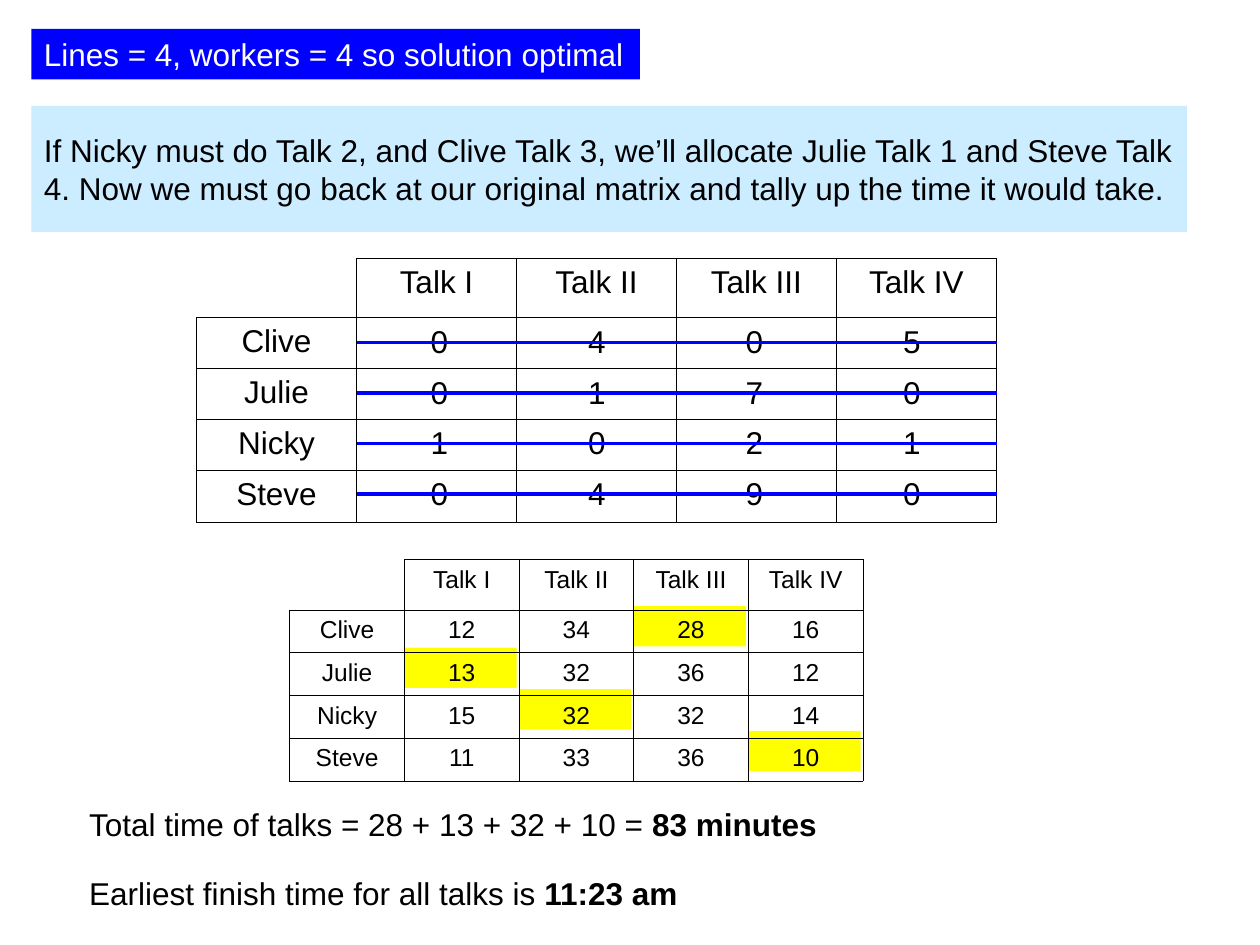
from lxml import etree
from pptx import Presentation
from pptx import util as u
from pptx.dml.color import RGBColor
from pptx.enum import shapes, text
from pptx.oxml import ns

# Content
HEADING = "Lines = 4, workers = 4 so solution optimal"
EXPLANATION = (
    "If Nicky must do Talk 2, and Clive Talk 3, we’ll allocate Julie Talk 1 and Steve Talk 4. "
    "Now we must go back at our original matrix and tally up the time it would take."
)
TALKS = ["Talk I", "Talk II", "Talk III", "Talk IV"]
WORKERS = ["Clive", "Julie", "Nicky", "Steve"]
REDUCED = [[0, 4, 0, 5], [0, 1, 7, 0], [1, 0, 2, 1], [0, 4, 9, 0]]
MINUTES = [[12, 34, 28, 16], [13, 32, 36, 12], [15, 32, 32, 14], [11, 33, 36, 10]]
ALLOCATION = {"Clive": "Talk III", "Julie": "Talk I", "Nicky": "Talk II", "Steve": "Talk IV"}
CONCLUSIONS = [
    ("Total time of talks = 28 + 13 + 32 + 10 = ", "83 minutes", 6.0),
    ("Earliest finish time for all talks is ", "11:23 am", 4.88),
]

THEME = {
    "font": "Arial", "body": 18, "small": 14, "border": 0.45, "strike": 2,
    "ink": "000000", "paper": "FFFFFF", "blue": "0000FF", "sky": "CCECFF", "yellow": "FFFF00",
}

# Grids, in inches
REDUCED_GRID = {"left": 1.56, "top": 2.05, "column": 1.27, "header": 0.47, "row": 0.4}
MINUTES_GRID = {"left": 2.3, "top": 4.44, "column": 0.91, "header": 0.35, "row": 0.34}

deck = Presentation()
deck.slide_width, deck.slide_height = u.Inches(10), u.Inches(7.5)
page = deck.slides.add_slide(deck.slide_layouts[6])


def colour(name):
    return RGBColor.from_string(THEME[name])


def inches(*lengths):
    return [u.Inches(length) for length in lengths]


def write(frame, *parts, size="body", ink="ink", align=text.PP_ALIGN.LEFT, bold_last=False):
    para = frame.paragraphs[0]
    para.alignment = align
    for index, part in enumerate(parts):
        span = para.add_run()
        span.text = str(part)
        span.font.name = THEME["font"]
        span.font.size = u.Pt(THEME[size])
        span.font.color.rgb = colour(ink)
        span.font.bold = bold_last and index == len(parts) - 1


def add_panel(left, top, width, height, fill):
    box = page.shapes.add_shape(shapes.MSO_SHAPE.RECTANGLE, *inches(left, top, width, height))
    box.shadow.inherit = False
    box.fill.solid()
    box.fill.fore_color.rgb = colour(fill)
    box.line.fill.background()
    box.text_frame.word_wrap = True
    return box.text_frame


def add_label(left, top, width, *parts, **format):
    frame = page.shapes.add_textbox(*inches(left, top, width, 0.4)).text_frame
    frame.word_wrap = False
    frame.auto_size = text.MSO_AUTO_SIZE.SHAPE_TO_FIT_TEXT
    write(frame, *parts, **format)


def set_borders(cell, hidden=()):
    properties = cell._tc.get_or_add_tcPr()
    for position, side in enumerate(("lnL", "lnR", "lnT", "lnB")):
        edge = etree.Element(ns.qn(f"a:{side}"), w=str(u.Pt(THEME["border"])))
        if side in hidden:
            etree.SubElement(edge, ns.qn("a:noFill"))
        else:
            fill = etree.SubElement(edge, ns.qn("a:solidFill"))
            etree.SubElement(fill, ns.qn("a:srgbClr"), val=THEME["ink"])
        properties.insert(position, edge)


def add_grid(grid, rows, size):
    count = len(rows[0])
    width = grid["column"] * count
    height = grid["header"] + grid["row"] * (len(rows) - 1)
    table = page.shapes.add_table(
        len(rows), count, *inches(grid["left"], grid["top"], width, height)).table
    table.first_row = table.horz_banding = False
    for column in table.columns:
        column.width = u.Inches(grid["column"])
    for r, values in enumerate(rows):
        table.rows[r].height = u.Inches(grid["row"] if r else grid["header"])
        for c, value in enumerate(values):
            cell = table.cell(r, c)
            cell.fill.background()
            set_borders(cell, hidden=() if r or c else ("lnL", "lnT"))
            if value != "":
                write(cell.text_frame, value, size=size, align=text.PP_ALIGN.CENTER)


# Heading and explanation
write(add_panel(0.25, 0.23, 4.83, 0.4, "blue"), HEADING, ink="paper")
explanation = add_panel(0.25, 0.84, 9.17, 1, "sky")
explanation.vertical_anchor = text.MSO_ANCHOR.MIDDLE
write(explanation, EXPLANATION)

# Reduced matrix: the grid, then its values
add_grid(REDUCED_GRID, [["", *TALKS]] + [[worker, "", "", "", ""] for worker in WORKERS], "body")
for r, values in enumerate(REDUCED):
    for c, value in enumerate(values):
        add_label(3.32 + 1.25 * c, 2.51 + REDUCED_GRID["row"] * r, 0.34, value)

# One covering line through each worker's row
line_start = REDUCED_GRID["left"] + REDUCED_GRID["column"]
line_end = line_start + REDUCED_GRID["column"] * len(TALKS)
for r in range(len(WORKERS)):
    height = 2.72 + REDUCED_GRID["row"] * r
    line = page.shapes.add_connector(
        shapes.MSO_CONNECTOR.STRAIGHT, *inches(line_start, height, line_end, height))
    line.line.color.rgb = colour("blue")
    line.line.width = u.Pt(THEME["strike"])
    etree.SubElement(line._element.spPr, ns.qn("a:effectLst"))

# Highlights behind the allocated talks, then the matrix of minutes
for r, worker in enumerate(WORKERS):
    column = TALKS.index(ALLOCATION[worker]) + 1
    add_panel(MINUTES_GRID["left"] + MINUTES_GRID["column"] * column, 4.81 + 0.33 * r,
              0.89, 0.32, "yellow")
add_grid(MINUTES_GRID,
         [["", *TALKS]] + [[worker, *row] for worker, row in zip(WORKERS, MINUTES)], "small")

# Conclusions
for index, (lead, answer, width) in enumerate(CONCLUSIONS):
    add_label(0.61, 6.34 + 0.55 * index, width, lead, answer, bold_last=True)

deck.save("out.pptx")
